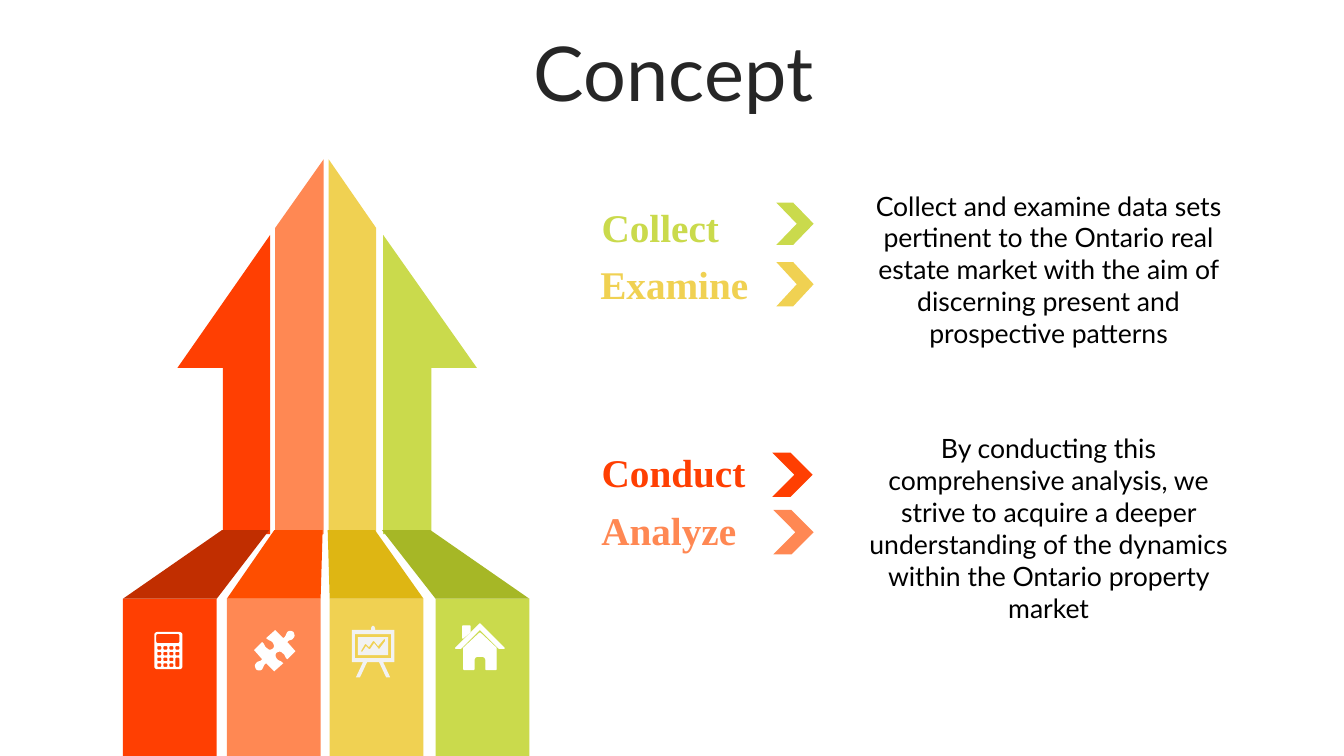
import math

from pptx import Presentation
from pptx import util as u
from pptx.dml.color import RGBColor
from pptx.enum import shapes, text

COLORS = {
    "red": "FF3F02", "orange": "FF8853", "yellow": "F0D152", "green": "CADA4C",
    "dark_red": "C12E00", "dark_orange": "FE4E00", "dark_yellow": "DEB613", "dark_green": "A6B726",
    "title": "262626", "body": "000000", "white": "FFFFFF", "board": "F2F2F2",
}


def box(left, top, right, bottom):
    return [(left, top), (right, top), (right, bottom), (left, bottom)]


def rounded_box(left, top, right, bottom, radius):
    corners = [(right - radius, bottom - radius), (left + radius, bottom - radius),
               (left + radius, top + radius), (right - radius, top + radius)]
    points = []
    for quarter, (x, y) in enumerate(corners):
        for step in range(5):
            angle = math.radians(90 * quarter + 22.5 * step)
            points.append((x + radius * math.cos(angle), y + radius * math.sin(angle)))
    return points


def outline(start, segments, steps=8):
    """Flatten lines (one point) and cubic curves (three points) to a list of points."""
    points = [start]
    for segment in segments:
        if len(segment) == 1:
            points.append(segment[0])
            continue
        controls = [points[-1], *segment]
        for step in range(1, steps + 1):
            t = step / steps
            weights = [(1 - t) ** 3, 3 * t * (1 - t) ** 2, 3 * t * t * (1 - t), t ** 3]
            points.append(tuple(sum(w * p[axis] for w, p in zip(weights, controls)) for axis in (0, 1)))
    return points


class ConceptSlide:
    def __init__(self, slide):
        self.slide = slide

    def paint(self, shape, color, line=False):
        shape.shadow.inherit = False
        shape.fill.solid()
        shape.fill.fore_color.rgb = RGBColor.from_string(COLORS[color])
        if line:
            shape.line.color.rgb = RGBColor.from_string(COLORS[color])
            shape.line.width = u.Pt(1)
        else:
            shape.line.fill.background()

    def freeform(self, contours, color, line=False):
        """Draw closed contours as one shape; inner contours become holes."""
        builder = None
        for contour in contours:
            points = [(u.Inches(x), u.Inches(y)) for x, y in contour]
            if builder is None:
                builder = self.slide.shapes.build_freeform(*points[0])
            else:
                builder.move_to(*points[0])
            builder.add_line_segments(points[1:], close=True)
        self.paint(builder.convert_to_shape(), color, line)

    def preset(self, kind, left, top, width, height, color):
        shape = self.slide.shapes.add_shape(
            kind, u.Inches(left), u.Inches(top), u.Inches(width), u.Inches(height))
        self.paint(shape, color)
        return shape

    def chevron(self, left, top, width, height, color):
        self.preset(shapes.MSO_SHAPE.CHEVRON, left, top, width, height, color).adjustments[0] = 0.549

    def text(self, content, left, top, width, height, font, size, color, align, bold=False):
        text_box = self.slide.shapes.add_textbox(
            u.Inches(left), u.Inches(top), u.Inches(width), u.Inches(height))
        frame = text_box.text_frame
        frame.word_wrap = True
        frame.text = content
        paragraph = frame.paragraphs[0]
        paragraph.alignment = align
        run_font = paragraph.runs[0].font
        run_font.name, run_font.size, run_font.bold = font, u.Pt(size), bold
        run_font.color.rgb = RGBColor.from_string(COLORS[color])
        return frame

    def title(self, content):
        frame = self.text(content, 0.35, 0.37, 12.66, 0.79, "Lato", 54, "title", text.PP_ALIGN.CENTER)
        frame.vertical_anchor = text.MSO_ANCHOR.MIDDLE
        frame.paragraphs[0].line_spacing = 0.9
        frame.paragraphs[0].space_before = u.Pt(10)

    def keyword(self, content, left, top, width, color):
        self.text(content, left, top, width, 0.57, "Times New Roman", 28, color,
                  text.PP_ALIGN.RIGHT, bold=True)

    def description(self, content, top, height):
        frame = self.text(content, 8.25, top, 4.18, height, "Lato", 19, "body", text.PP_ALIGN.CENTER)
        frame.auto_size = text.MSO_AUTO_SIZE.SHAPE_TO_FIT_TEXT
        frame.paragraphs[0]._p.get_or_add_pPr().set("marL", str(u.Inches(0.12)))

    def calculator(self):
        contours = [rounded_box(1.53, 6.27, 1.81, 6.64, 0.03), rounded_box(1.55, 6.29, 1.78, 6.38, 0.015)]
        for row in range(4):
            for column in range(4):
                if (row, column) == (3, 3):
                    continue
                left, top = 1.56 + 0.06 * column, 6.41 + 0.057 * row
                tall = 0.057 if (row, column) == (2, 3) else 0
                contours.append(rounded_box(left, top, left + 0.04, top + 0.035 + tall, 0.01))
        self.freeform(contours, "white")

    def puzzle(self):
        half = outline((2.91, 6.27), [
            [(2.92, 6.29), (2.93, 6.31), (2.91, 6.33)], [(2.89, 6.36), (2.87, 6.34), (2.85, 6.37)],
            [(2.93, 6.46)], [(2.85, 6.54)],
            [(2.82, 6.52), (2.83, 6.49), (2.8, 6.48)], [(2.79, 6.46), (2.76, 6.46), (2.74, 6.48)],
            [(2.73, 6.49), (2.73, 6.52), (2.75, 6.54)], [(2.77, 6.56), (2.78, 6.55), (2.81, 6.58)],
            [(2.72, 6.66)], [(2.64, 6.58)],
            [(2.61, 6.6), (2.62, 6.61), (2.6, 6.64)], [(2.58, 6.66), (2.55, 6.65), (2.54, 6.64)],
        ])
        self.freeform([half + [(5.45 - x, 12.91 - y) for x, y in half]], "white")

    def chart_board(self):
        stand = [(3.68, 6.25), (3.68, 6.23), (3.69, 6.21), (3.71, 6.21), (3.72, 6.23), (3.72, 6.25),
                 (3.91, 6.25), (3.91, 6.57), (3.8, 6.57), (3.87, 6.72), (3.83, 6.72), (3.76, 6.57),
                 (3.64, 6.57), (3.57, 6.72), (3.53, 6.72), (3.6, 6.57), (3.49, 6.57), (3.49, 6.25)]
        trend = [(3.58, 6.46), (3.62, 6.39), (3.63, 6.39), (3.66, 6.42), (3.7, 6.36), (3.71, 6.36),
                 (3.75, 6.41), (3.81, 6.34), (3.82, 6.34), (3.82, 6.36), (3.76, 6.44), (3.75, 6.43),
                 (3.71, 6.38), (3.67, 6.44), (3.66, 6.44), (3.63, 6.41), (3.59, 6.47)]
        self.freeform([stand, box(3.52, 6.29, 3.88, 6.53), box(3.55, 6.32, 3.85, 6.5), trend], "board")

    def house(self):
        walls = [(4.76, 6.28), (4.92, 6.43), (4.92, 6.64), (4.82, 6.64), (4.82, 6.54), (4.81, 6.52),
                 (4.79, 6.51), (4.73, 6.51), (4.71, 6.52), (4.7, 6.54), (4.7, 6.64), (4.6, 6.64), (4.6, 6.43)]
        chimney = [(4.59, 6.21), (4.66, 6.21), (4.66, 6.27), (4.59, 6.33)]
        roof = [(4.76, 6.19), (5, 6.43), (4.95, 6.43), (4.76, 6.24), (4.57, 6.43), (4.52, 6.43)]
        self.freeform([walls, chimney, roof], "white", line=True)


def main():
    presentation = Presentation()
    presentation.slide_width, presentation.slide_height = u.Inches(13.33), u.Inches(7.5)
    concept = ConceptSlide(presentation.slides.add_slide(presentation.slide_layouts[6]))
    concept.title("Concept")

    arrow_strips = {
        "red": [(1.76, 3.65), (2.68, 2.33), (2.68, 5.3), (2.21, 5.3), (2.21, 3.65)],
        "orange": [(2.73, 5.3), (2.73, 2.26), (3.21, 1.58), (3.21, 5.3)],
        "yellow": [(3.26, 5.3), (3.26, 1.58), (3.73, 2.26), (3.73, 5.3)],
        "green": [(3.8, 5.3), (3.8, 2.33), (4.73, 3.65), (4.28, 3.65), (4.28, 5.3)],
    }
    for color, strip in arrow_strips.items():
        concept.freeform([strip], color)

    # Each base column: left edge, then the top edge of the fold above it
    columns = {"red": (1.22, 2.2, 2.67), "orange": (2.25, 2.72, 3.2),
               "yellow": (3.27, 3.25, 3.72), "green": (4.32, 3.79, 4.27)}
    for color, (left, fold_left, fold_right) in columns.items():
        concept.preset(shapes.MSO_SHAPE.RECTANGLE, left, 5.94, 0.93, 1.56, color)
        fold = [(left, 5.94), (fold_left, 5.26), (fold_right, 5.26), (left + 0.93, 5.94)]
        concept.freeform([fold], "dark_" + color)

    concept.calculator()
    concept.puzzle()
    concept.chart_board()
    concept.house()

    keywords = [
        ("Collect", "green", (5.57, 1.97, 1.66), (7.7, 2.01, 0.37, 0.42)),
        ("Examine", "yellow", (5.71, 2.53, 1.81), (7.7, 2.6, 0.37, 0.44)),
        ("Conduct", "red", (5.68, 4.4, 1.81), (7.66, 4.49, 0.4, 0.44)),
        ("Analyze", "orange", (5, 4.97, 2.4), (7.67, 5.06, 0.4, 0.44)),
    ]
    for word, color, word_place, chevron_place in keywords:
        concept.keyword(word, *word_place, color)
        concept.chevron(*chevron_place, color)

    concept.description("Collect and examine data sets pertinent to the Ontario real estate market "
                        "with the aim of discerning present and prospective patterns", 1.83, 1.38)
    concept.description("By conducting this comprehensive analysis, we strive to acquire a deeper "
                        "understanding of the dynamics within the Ontario property market", 4.24, 1.7)
    presentation.save("out.pptx")


if __name__ == "__main__":
    main()
